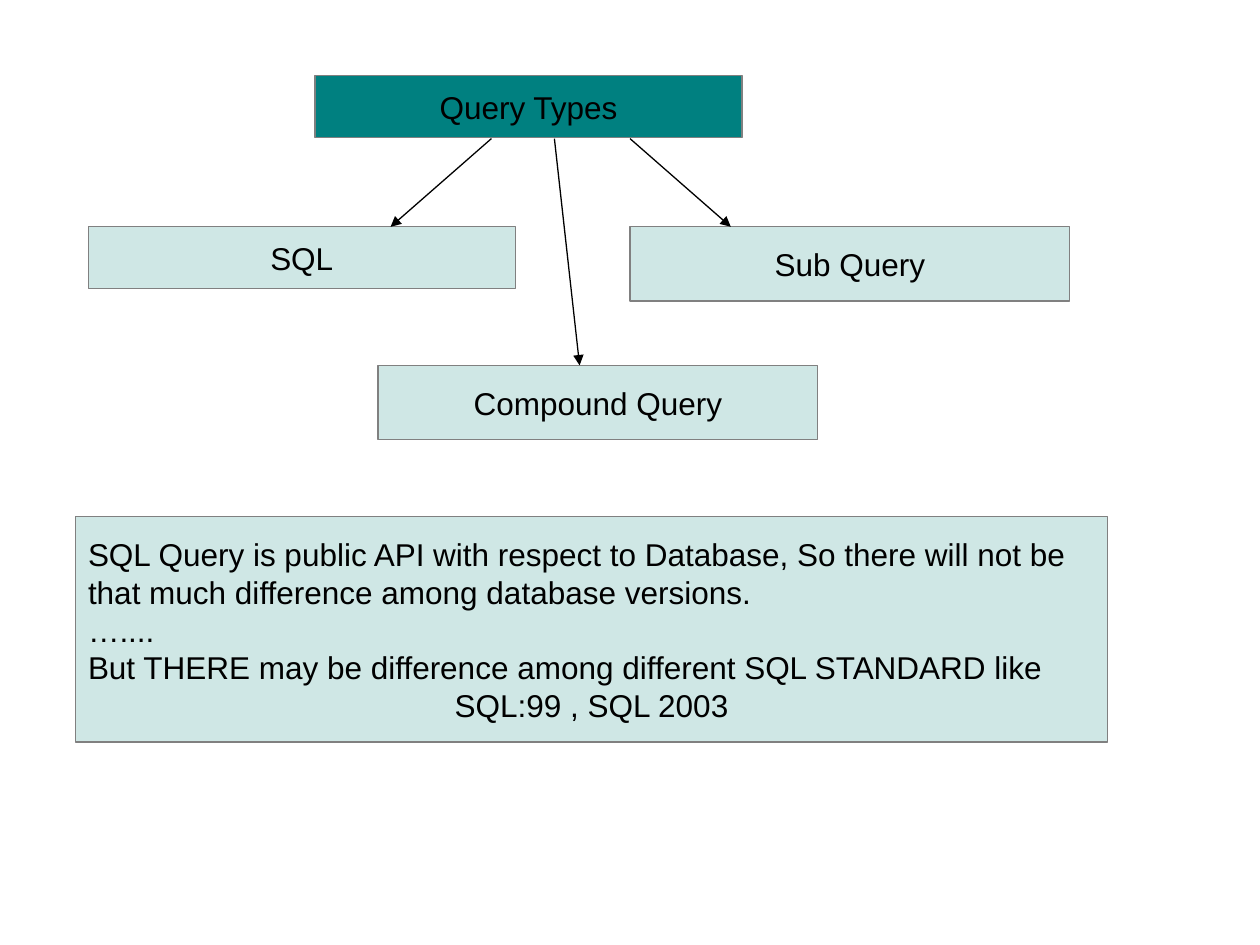
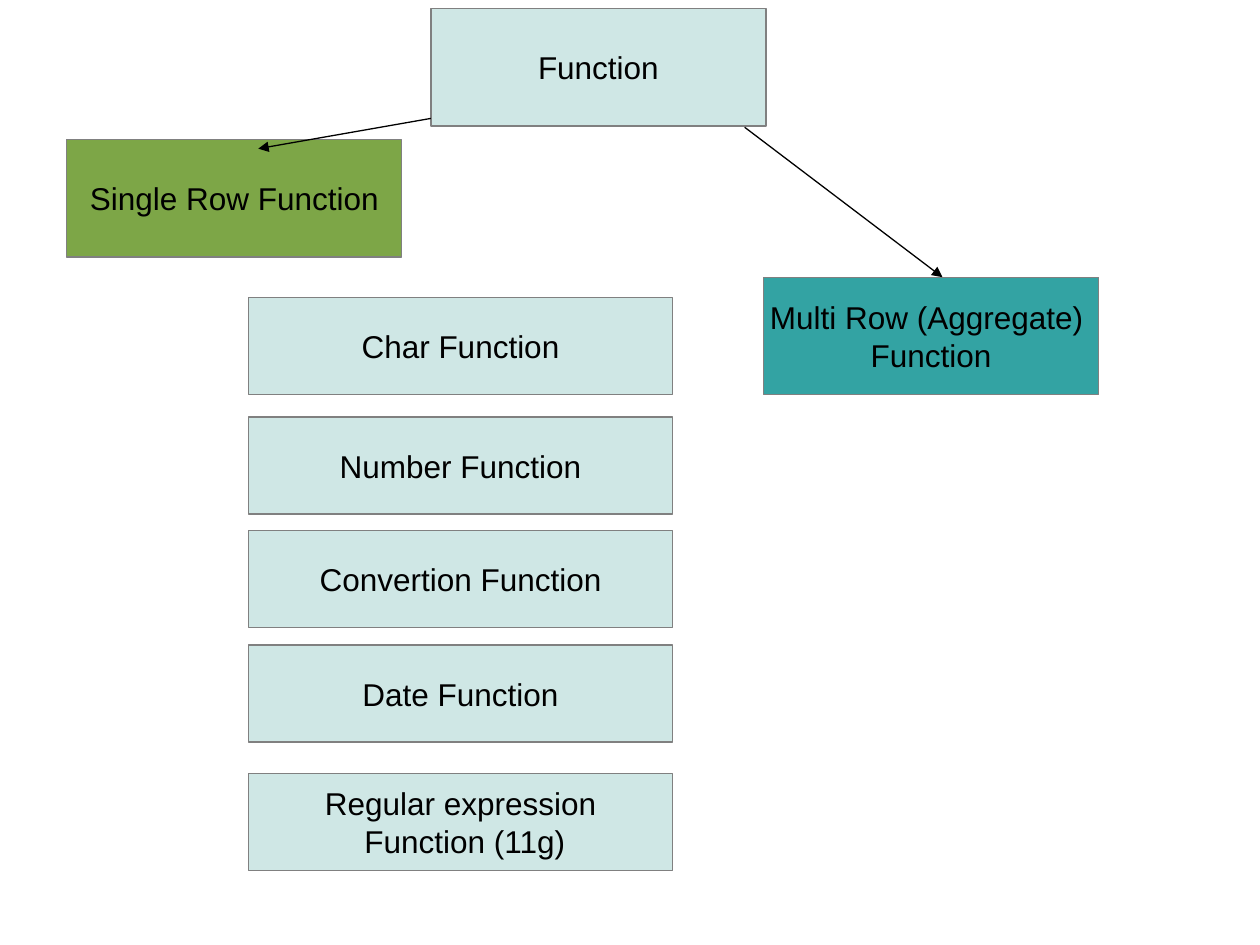
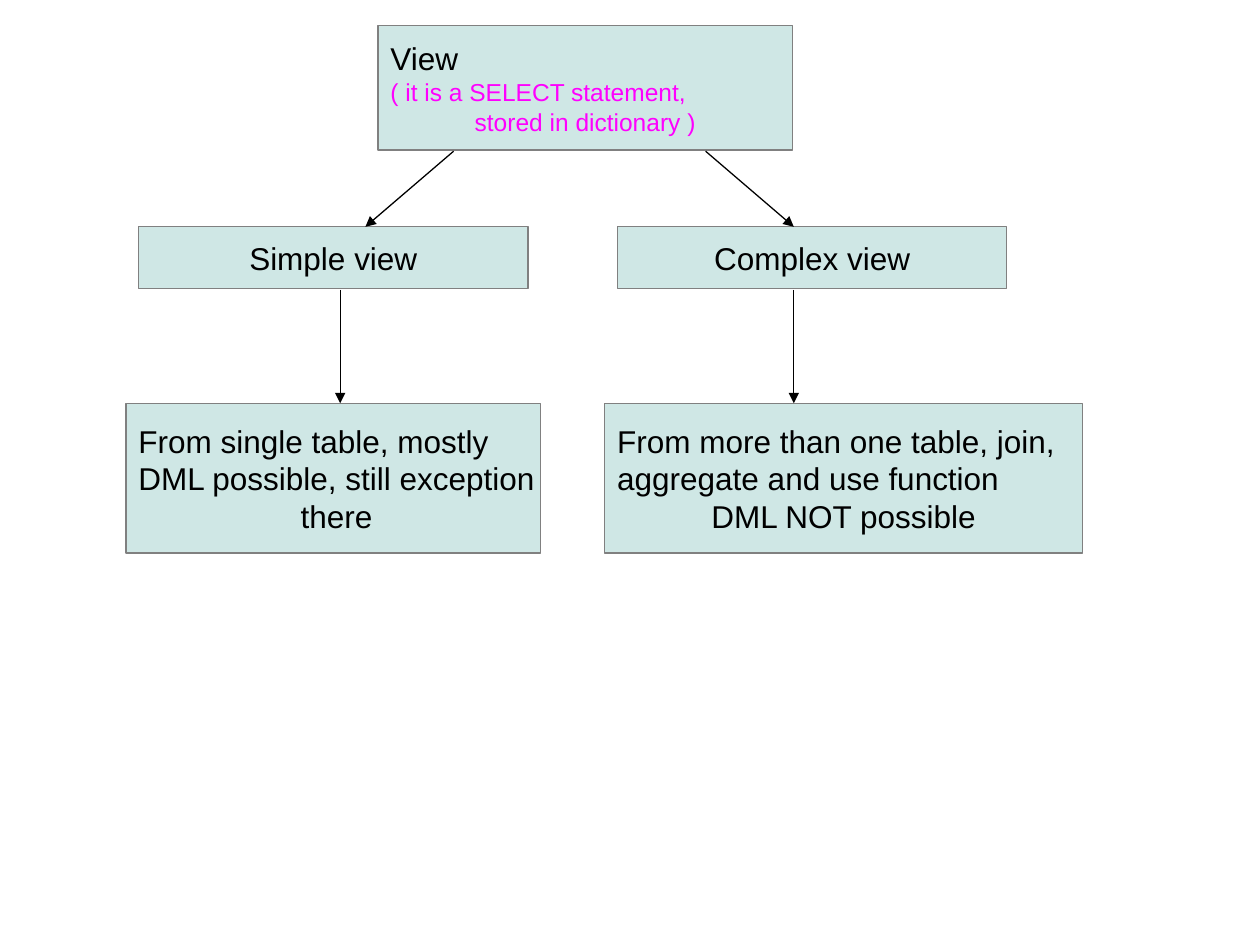
import pptx
import pptx.util
import pptx.dml.color
import pptx.enum.shapes
import pptx.enum.text
import pptx.oxml.ns
import lxml.etree

Inches = pptx.util.Inches
Pt = pptx.util.Pt
RGBColor = pptx.dml.color.RGBColor
ALIGN = pptx.enum.text.PP_ALIGN
MID, LEFT = ALIGN.CENTER, ALIGN.LEFT

MINT = RGBColor(0xCF, 0xE7, 0xE5)
TEAL = RGBColor(0x00, 0x80, 0x80)
SEA = RGBColor(0x33, 0xA3, 0xA3)
GREEN = RGBColor(0x7D, 0xA6, 0x47)
GREY = RGBColor(0x80, 0x80, 0x80)
BLACK = RGBColor(0x00, 0x00, 0x00)
PINK = RGBColor(0xFF, 0x00, 0xFF)
FONT = "Arial"
BODY, SMALL = 18, 14
EDGE = 0.75


def plain(*texts):
    return [(text, MID, BODY, BLACK) for text in texts]


def note(*texts):
    rows = [(text, LEFT, BODY, BLACK) for text in texts[:-1]]
    return rows + plain(texts[-1])


WIDE, TALL = (3.39, 0.49), (3.49, 0.59)
QUERY = {
    "boxes": [
        ((2.5, 0.6), WIDE, TEAL, plain("Query Types")),
        ((0.7, 1.8), WIDE, MINT, plain("SQL")),
        ((5, 1.8), TALL, MINT, plain("Sub Query")),
        ((3, 2.9), TALL, MINT, plain("Compound Query")),
        ((0.6, 4.1), (8.19, 1.79), MINT, note(
            "SQL Query is public API with respect to Database, So there will not be",
            "that much difference among database versions.",
            "…....",
            "But THERE may be difference among different SQL STANDARD like",
            "SQL:99 , SQL 2003")),
    ],
    "arrows": [
        ((3.9, 1.1), (3.1, 1.8)),
        ((5, 1.1), (5.8, 1.8)),
        ((4.4, 1.1), (4.6, 2.9)),
    ],
}

KIND, ITEM = (2.66, 0.93), (3.37, 0.77)
ITEMS = [
    (2.36, ["Char Function"]),
    (3.31, ["Number Function"]),
    (4.21, ["Convertion Function"]),
    (5.12, ["Date Function"]),
    (6.14, ["Regular expression", " Function (11g)"]),
]
FUNCTION = {
    "boxes": [
        ((3.42, 0.07), KIND, MINT, plain("Function")),
        ((6.06, 2.2), KIND, SEA, plain("Multi Row (Aggregate) ", "Function")),
        ((0.53, 1.11), KIND, GREEN, plain("Single Row Function")),
    ] + [((1.97, top), ITEM, MINT, plain(*texts)) for top, texts in ITEMS],
    "arrows": [
        ((5.91, 1.01), (7.48, 2.2)),
        ((3.42, 0.94), (2.05, 1.18)),
    ],
}

TYPE = (3.09, 0.49)
VIEW = {
    "boxes": [
        ((3, 0.2), (3.29, 0.99), MINT, [
            ("View", LEFT, BODY, BLACK),
            ("( it is a SELECT statement,", LEFT, SMALL, PINK),
            ("stored in dictionary )", MID, SMALL, PINK)]),
        ((1.1, 1.8), TYPE, MINT, plain("Simple view")),
        ((4.9, 1.8), TYPE, MINT, plain("Complex view")),
        ((1, 3.2), (3.29, 1.19), MINT, note(
            "From single table, mostly",
            "DML possible, still exception",
            "there")),
        ((4.8, 3.2), (3.79, 1.19), MINT, note(
            "From more than one table, join,",
            "aggregate and use function",
            "DML NOT possible")),
    ],
    "arrows": [
        ((3.6, 1.2), (2.9, 1.8)),
        ((5.6, 1.2), (6.3, 1.8)),
        ((2.7, 2.3), (2.7, 3.2)),
        ((6.3, 2.3), (6.3, 3.2)),
    ],
}


def add_box(slide, place, size, fill, rows):
    box = slide.shapes.add_shape(
        pptx.enum.shapes.MSO_SHAPE.RECTANGLE,
        *[Inches(n) for n in place + size])
    box.shadow.inherit = False
    box.fill.solid()
    box.fill.fore_color.rgb = fill
    box.line.color.rgb = GREY
    box.line.width = Pt(EDGE)
    frame = box.text_frame
    frame.word_wrap = False
    frame.vertical_anchor = pptx.enum.text.MSO_ANCHOR.MIDDLE
    for i, (text, align, points, color) in enumerate(rows):
        para = frame.add_paragraph() if i else frame.paragraphs[0]
        para.alignment = align
        run = para.add_run()
        run.text = text
        run.font.name = FONT
        run.font.size = Pt(points)
        run.font.color.rgb = color


def add_arrow(slide, start, end):
    arrow = slide.shapes.add_connector(
        pptx.enum.shapes.MSO_CONNECTOR.STRAIGHT,
        *[Inches(n) for n in start + end])
    arrow.line.color.rgb = BLACK
    arrow.line.width = Pt(EDGE)
    qn = pptx.oxml.ns.qn
    props = arrow.element.spPr
    tip = lxml.etree.SubElement(props.find(qn("a:ln")), qn("a:tailEnd"))
    tip.set("type", "triangle")
    lxml.etree.SubElement(props, qn("a:effectLst"))


def main():
    deck = pptx.Presentation()
    deck.slide_width, deck.slide_height = Inches(10), Inches(7.5)
    for page in (QUERY, FUNCTION, VIEW):
        slide = deck.slides.add_slide(deck.slide_layouts[6])
        for box in page["boxes"]:
            add_box(slide, *box)
        for arrow in page["arrows"]:
            add_arrow(slide, *arrow)
    deck.save("out.pptx")


if __name__ == "__main__":
    main()
